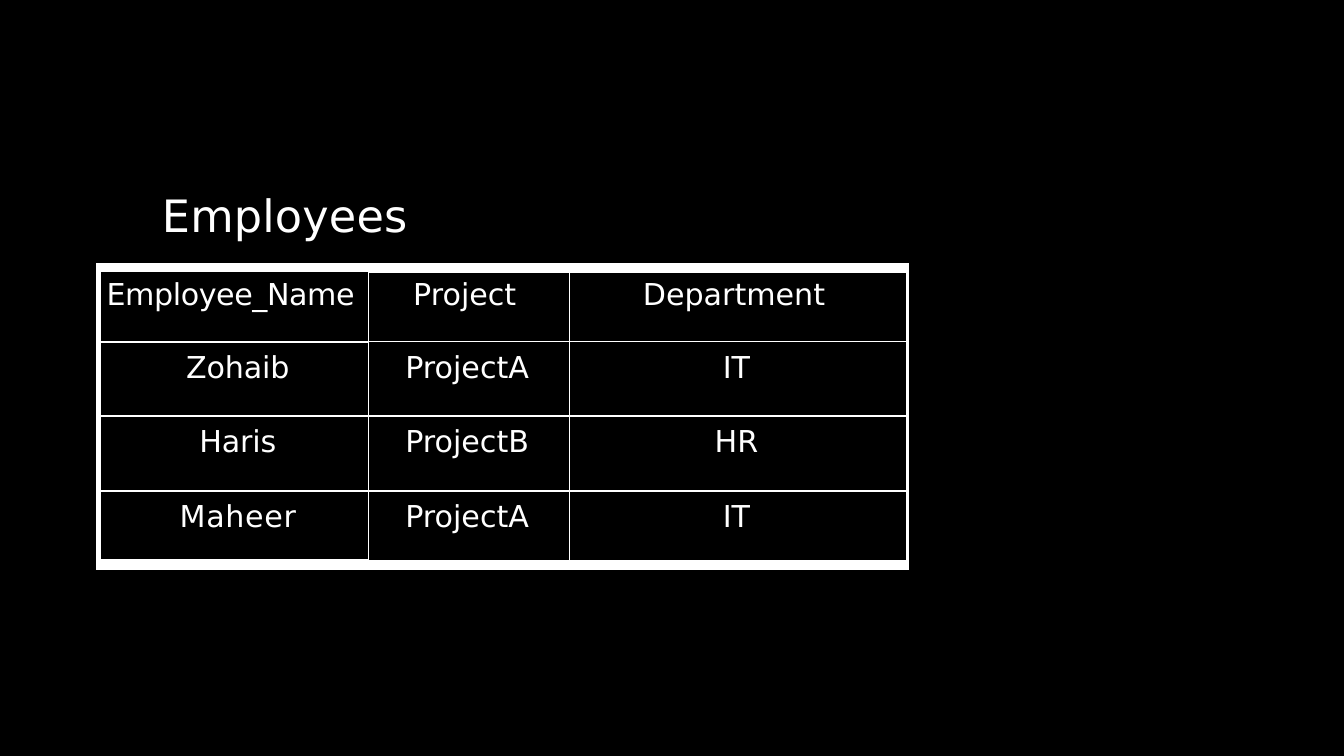
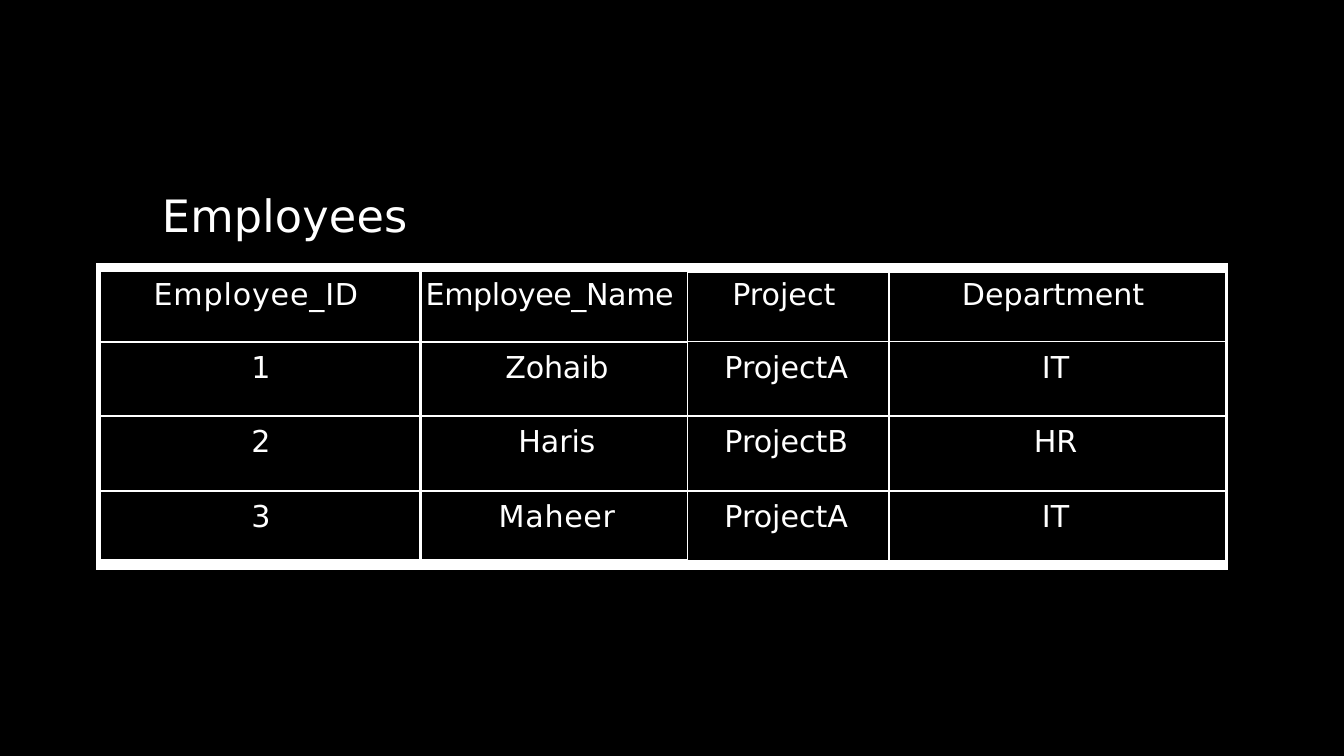
import lxml.etree
import pptx
import pptx.dml.color
import pptx.enum.text
import pptx.oxml.ns
import pptx.util
from pptx.util import Cm

BLACK = pptx.dml.color.RGBColor(0x00, 0x00, 0x00)
WHITE = pptx.dml.color.RGBColor(0xFF, 0xFF, 0xFF)
FONT = "DejaVu Sans"
TITLE_SIZE = 52.5
CELL_SIZE = 35.5
THICK = 3
THIN = 2.25
NO_STYLE = "{2D5ABB26-0587-4C30-8999-92F81FD0307C}"

# Outer rows and columns are the white frame of the table
FRAME_LEFT = 0.2
FRAME_RIGHT = 0.08
ROW_HEIGHTS = [0.38, 2.9, 3.1, 3.1, 2.9, 0.38]
COLUMN_WIDTHS = {
    "Employee_ID": 13.26,
    "Employee_Name": 11.1,
    "Project": 8.36,
    "Department": 14.02,
}
# Letter spacing in hundredths of a point
LETTER_SPACING = {
    "Employees": 30,
    "Employee_ID": 100,
    "Employee_Name": -50,
    "Zohaib": -20,
    "Haris": -20,
    "Maheer": 80,
}
EMPLOYEES = [
    ("1", "Zohaib", "ProjectA", "IT"),
    ("2", "Haris", "ProjectB", "HR"),
    ("3", "Maheer", "ProjectA", "IT"),
]
ALL_FIELDS = list(COLUMN_WIDTHS)


def write(paragraph, text, size):
    run = paragraph.add_run()
    run.text = text
    if text in LETTER_SPACING:
        run.font._element.set("spc", str(LETTER_SPACING[text]))
    paragraph.font.name = FONT
    paragraph.font.size = pptx.util.Pt(size)
    paragraph.font.color.rgb = WHITE


def add_border(cell, side, width):
    """Draw a white line on one side (L, R, T or B) of a cell."""
    properties = cell._tc.get_or_add_tcPr()
    line = lxml.etree.SubElement(
        properties, pptx.oxml.ns.qn("a:ln" + side), w=str(pptx.util.Pt(width))
    )
    fill = lxml.etree.SubElement(line, pptx.oxml.ns.qn("a:solidFill"))
    lxml.etree.SubElement(fill, pptx.oxml.ns.qn("a:srgbClr"), val=str(WHITE))


presentation = pptx.Presentation()
presentation.slide_width = Cm(55.85)
presentation.slide_height = Cm(31.42)
background = presentation.slide_master.background.fill
background.solid()
background.fore_color.rgb = BLACK

for fields in (ALL_FIELDS[1:], ALL_FIELDS):
    slide = presentation.slides.add_slide(presentation.slide_layouts[6])

    widths = [FRAME_LEFT] + [COLUMN_WIDTHS[field] for field in fields] + [FRAME_RIGHT]
    last_row, last_column = len(ROW_HEIGHTS) - 1, len(widths) - 1
    name_column = fields.index("Employee_Name") + 1
    texts = [fields] + [employee[-len(fields):] for employee in EMPLOYEES]

    table = slide.shapes.add_table(
        len(ROW_HEIGHTS), len(widths),
        Cm(4.01), Cm(10.92), Cm(sum(widths)), Cm(sum(ROW_HEIGHTS)),
    ).table
    table.first_row = table.horz_banding = False
    table._tbl.tblPr.find(pptx.oxml.ns.qn("a:tableStyleId")).text = NO_STYLE
    for column, width in zip(table.columns, widths):
        column.width = Cm(width)
    for row, height in zip(table.rows, ROW_HEIGHTS):
        row.height = Cm(height)

    # Both cells beside an edge carry its line
    borders = {}
    for row in range(1, last_row):
        for column in range(1, last_column):
            width = THICK if column < name_column else THIN
            borders[row, column, "R"] = borders[row, column + 1, "L"] = width
    for column in range(1, last_column):
        leading = column <= name_column
        edges = range(1, last_row - 1) if leading else range(last_row)
        for row in edges:
            width = THICK if leading else THIN
            borders[row, column, "B"] = borders[row + 1, column, "T"] = width

    for row in range(last_row + 1):
        for column in range(last_column + 1):
            cell = table.cell(row, column)
            cell.margin_left = cell.margin_right = 0
            cell.margin_top = cell.margin_bottom = 0
            for side in "LRTB":
                if (row, column, side) in borders:
                    add_border(cell, side, borders[row, column, side])
            cell.fill.solid()
            paragraph = cell.text_frame.paragraphs[0]
            if row in (0, last_row) or column in (0, last_column):
                cell.fill.fore_color.rgb = WHITE
                lxml.etree.SubElement(
                    paragraph._p, pptx.oxml.ns.qn("a:endParaRPr"), sz="100"
                )
                continue
            cell.fill.fore_color.rgb = BLACK
            header = row == 1
            cell.margin_top = Cm(0.25 if header else 0.36)
            if column >= name_column:
                cell.margin_left = Cm(0.05 if header else 0.25)
            if header or column > name_column:
                cell.margin_right = Cm(0.4)
            paragraph.alignment = pptx.enum.text.PP_ALIGN.CENTER
            write(paragraph, texts[row - 1][column - 1], CELL_SIZE)

    title = slide.shapes.add_textbox(Cm(6.73), Cm(7.75), Cm(10.39), Cm(2.29))
    title_frame = title.text_frame
    title_frame.word_wrap = True
    title_frame.margin_left = title_frame.margin_right = title_frame.margin_bottom = 0
    title_frame.margin_top = Cm(0.05)
    write(title_frame.paragraphs[0], "Employees", TITLE_SIZE)

presentation.save("out.pptx")
